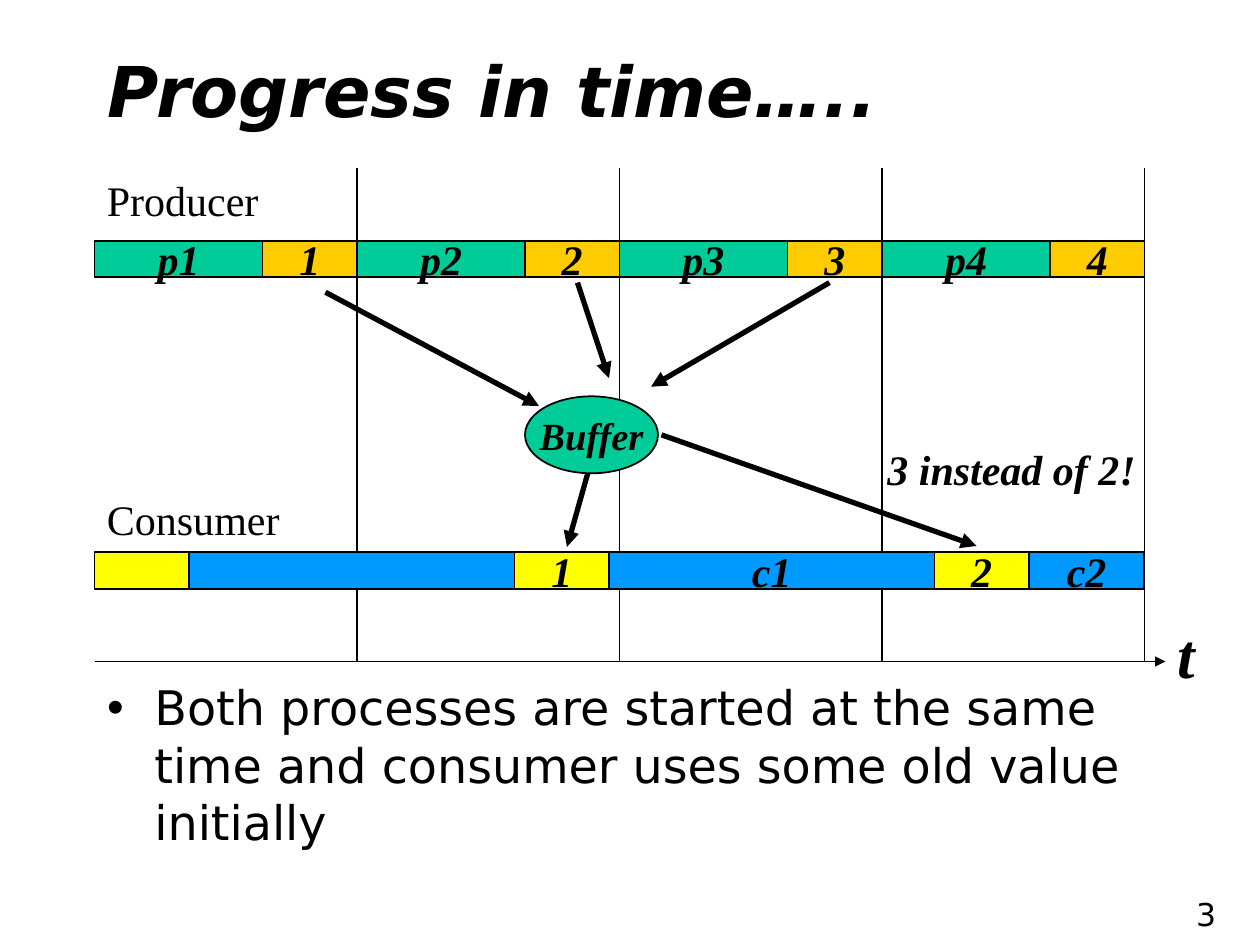
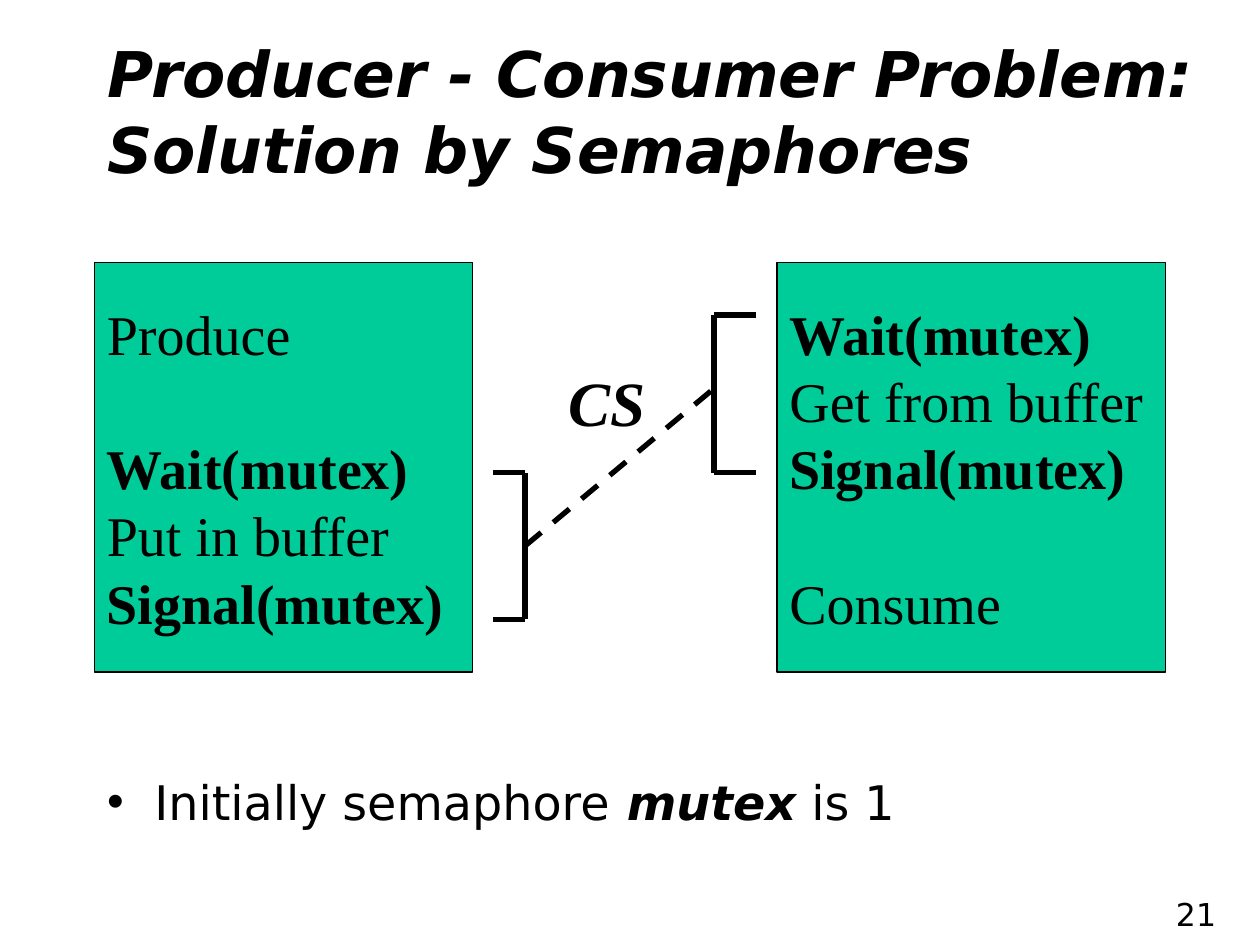
from dataclasses import dataclass
from itertools import accumulate

from lxml.etree import SubElement as Sub
from pptx import Presentation
from pptx.dml.color import RGBColor as Rgb
from pptx.enum.dml import MSO_LINE as Dash
from pptx.enum.shapes import MSO_CONNECTOR as Link, MSO_SHAPE as Kind
from pptx.enum.text import MSO_ANCHOR as Anchor, MSO_AUTO_SIZE as Fit, PP_ALIGN as Align
from pptx.oxml.ns import qn
from pptx.util import Pt


@dataclass(frozen=True)
class Theme:
    sans: str = "DejaVu Sans"
    serif: str = "Times New Roman"
    ink: str = "000000"
    green: str = "00CC99"
    gold: str = "FFCC00"
    yellow: str = "FFFF00"
    blue: str = "0099FF"
    title: float = 40
    long_title: float = 36
    body: float = 27.2
    code: float = 32
    mark: float = 36
    label: float = 24
    store: float = 22
    page: float = 18
    thin: float = 1
    thick: float = 3
    lead: float = 1.0  # line spacing


T = Theme()
STRONG = {"bold": True, "italic": True}
LEFT = 54


# --- Text ---
def assign(item, values):
    for name, value in values.items():
        setattr(item, name, value)


def add_run(para, text, size, face=T.serif, **style):
    run = para.add_run()
    run.text = text
    assign(run.font, {"name": face, "size": Pt(size), "bold": False, "italic": False} | style)
    run.font.color.rgb = Rgb.from_string(T.ink)


def set_frame(shape, anchor=Anchor.TOP, wrap=True):
    frame = shape.text_frame
    assign(frame, {
        "auto_size": Fit.NONE, "word_wrap": wrap, "vertical_anchor": anchor,
        "margin_left": Pt(7.2), "margin_right": Pt(7.2),
        "margin_top": Pt(3.6), "margin_bottom": Pt(3.6),
    })
    return frame


def set_para(para, align=Align.LEFT, before=0):
    assign(para, {"alignment": align, "line_spacing": T.lead, "space_before": Pt(before)})
    return para


def place(shape, box):
    assign(shape, dict(zip(("left", "top", "width", "height"), map(Pt, box))))


def add_label(slide, text, box, size, face=T.serif, align=Align.LEFT,
              anchor=Anchor.TOP, **style):
    shape = slide.shapes.add_textbox(*map(Pt, box))
    para = set_para(set_frame(shape, anchor).paragraphs[0], align)
    add_run(para, text, size, face, **style)


# --- Parts shared by the slides ---
def set_title(slide, text, box, size):
    shape = slide.shapes.title
    place(shape, box)
    para = set_para(set_frame(shape, Anchor.MIDDLE).paragraphs[0])
    add_run(para, text, size, T.sans, **STRONG)


def set_bullet(slide, parts, box):
    shape = slide.placeholders[1]
    place(shape, box)
    para = set_para(set_frame(shape).paragraphs[0], before=8)
    props = para._p.get_or_add_pPr()
    props.set("marL", str(Pt(27)))
    props.set("indent", str(-Pt(27)))
    Sub(props, qn("a:buChar"), char="•")
    for text, style in parts:
        add_run(para, text, T.body, T.sans, **style)


def add_page(slide, number):
    add_label(slide, str(number), (552, 504, 150, 36), T.page, T.sans,
              Align.RIGHT, Anchor.MIDDLE)


# --- Shapes and lines ---
def add_block(slide, kind, box, fill):
    shape = slide.shapes.add_shape(kind, *map(Pt, box))
    shape.shadow.inherit = False
    shape.fill.solid()
    shape.fill.fore_color.rgb = Rgb.from_string(fill)
    shape.line.color.rgb = Rgb.from_string(T.ink)
    shape.line.width = Pt(T.thin)
    return set_frame(shape, Anchor.MIDDLE, wrap=False)


def add_cell(slide, text, box, fill, kind=Kind.RECTANGLE, size=T.label):
    frame = add_block(slide, kind, box, fill)
    if text:
        add_run(set_para(frame.paragraphs[0], Align.CENTER), text, size, **STRONG)


def add_bar(slide, top, cells):
    """Lay cells of (text, width, fill) side by side."""
    starts = accumulate((width for _, width, _ in cells), initial=LEFT)
    for left, (text, width, fill) in zip(starts, cells):
        add_cell(slide, text, (left, top, width, 21), fill)


def add_code(slide, rows, box):
    """Rows are (text, bold, space before)."""
    frame = add_block(slide, Kind.RECTANGLE, box, T.green)
    for i, (text, bold, before) in enumerate(rows):
        para = frame.add_paragraph() if i else frame.paragraphs[0]
        add_run(set_para(para, before=before), text, T.code, bold=bold)


def add_line(slide, start, end, width=T.thick, arrow=False, dash=None):
    line = slide.shapes.add_connector(Link.STRAIGHT, *map(Pt, (*start, *end)))
    line.line.color.rgb = Rgb.from_string(T.ink)
    line.line.width = Pt(width)
    if dash:
        line.line.dash_style = dash
    if arrow:
        Sub(line.line._get_or_add_ln(), qn("a:tailEnd"), type="triangle")
    Sub(line._element.spPr, qn("a:effectLst"))


def add_brace(slide, spine, tip, top, foot):
    points = [(tip, top), (spine, top), (spine, foot), (tip, foot)]
    for start, end in zip(points, points[1:]):
        add_line(slide, start, end)


# --- Slides ---
def draw_time(slide):
    make, put = 96, 54
    step = make + put
    axis = 378
    set_title(slide, "Progress in time…..", (LEFT, 30, 612, 42), T.title)
    set_bullet(slide, [("Both processes are started at the same time and consumer "
                        "uses some old value initially", {})], (LEFT, 384, 612, 84))
    # The remark sits between two grid lines, above the arrow
    add_label(slide, "3 instead of 2!", (500, 250, 174, 36), T.label, **STRONG)
    for text, top in (("Producer", 96), ("Consumer", 278.5)):
        add_label(slide, text, (LEFT, top, 120, 36), T.label)

    # Time grid
    for i in range(1, 5):
        x = LEFT + i * step
        add_line(slide, (x, 96), (x, axis), T.thin)
    add_line(slide, (LEFT, axis), (666, axis), T.thin, arrow=True)
    add_label(slide, "t", (666, 348, 54, 50), T.mark, **STRONG)

    # Flow in and out of the buffer
    flows = [
        ((186, 167), (308, 232)), ((336, 270), (324, 312.5)),
        ((330, 161.5), (348, 216)), ((474, 161.5), (372, 221)),
        ((378, 248.5), (558, 312)),
    ]
    for start, end in flows:
        add_line(slide, start, end, arrow=True)
    add_cell(slide, "Buffer", (300, 226.5, 76, 44), T.green, Kind.OVAL, T.store)

    # Bars of work
    add_bar(slide, 137.5, [cell for i in range(1, 5) for cell in
                           ((f"p{i}", make, T.green), (str(i), put, T.gold))])
    add_bar(slide, 315.5, [
        ("", put, T.yellow), ("", 186, T.blue), ("1", put, T.yellow),
        ("c1", 186, T.blue), ("2", put, T.yellow), ("c2", 66, T.blue),
    ])
    add_page(slide, 3)


def draw_code(slide):
    gap = 38.4  # one line of code
    set_title(slide, "Producer - Consumer Problem: Solution by Semaphores",
              (LEFT, 0, 642, 126), T.long_title)
    set_bullet(slide, [("Initially semaphore", {}), (" mutex", STRONG), (" is 1", {})],
               (LEFT, 438, 612, 42))

    # Code of both sides
    wait, signal = "Wait(mutex)", "Signal(mutex)"
    add_code(slide, [("Produce", False, 0), (wait, True, gap),
                     ("Put in buffer", False, 0), (signal, True, 0)],
             (LEFT, 150, 216, 234))
    add_code(slide, [(wait, True, 0), ("Get from buffer", False, 0),
                     (signal, True, 0), ("Consume", False, gap)],
             (444, 150, 222, 234))

    # Linked braces
    add_brace(slide, 300, 282, 270, 354)
    add_brace(slide, 408, 432, 180, 270)
    add_label(slide, "CS", (318, 204, 70.5, 50), T.mark, **STRONG)
    add_line(slide, (300, 312), (408, 222), dash=Dash.DASH)
    add_page(slide, 21)


def main():
    deck = Presentation()
    assign(deck, {"slide_width": Pt(720), "slide_height": Pt(540)})
    for draw in (draw_time, draw_code):
        draw(deck.slides.add_slide(deck.slide_layouts[1]))
    deck.save("out.pptx")


if __name__ == "__main__":
    main()
